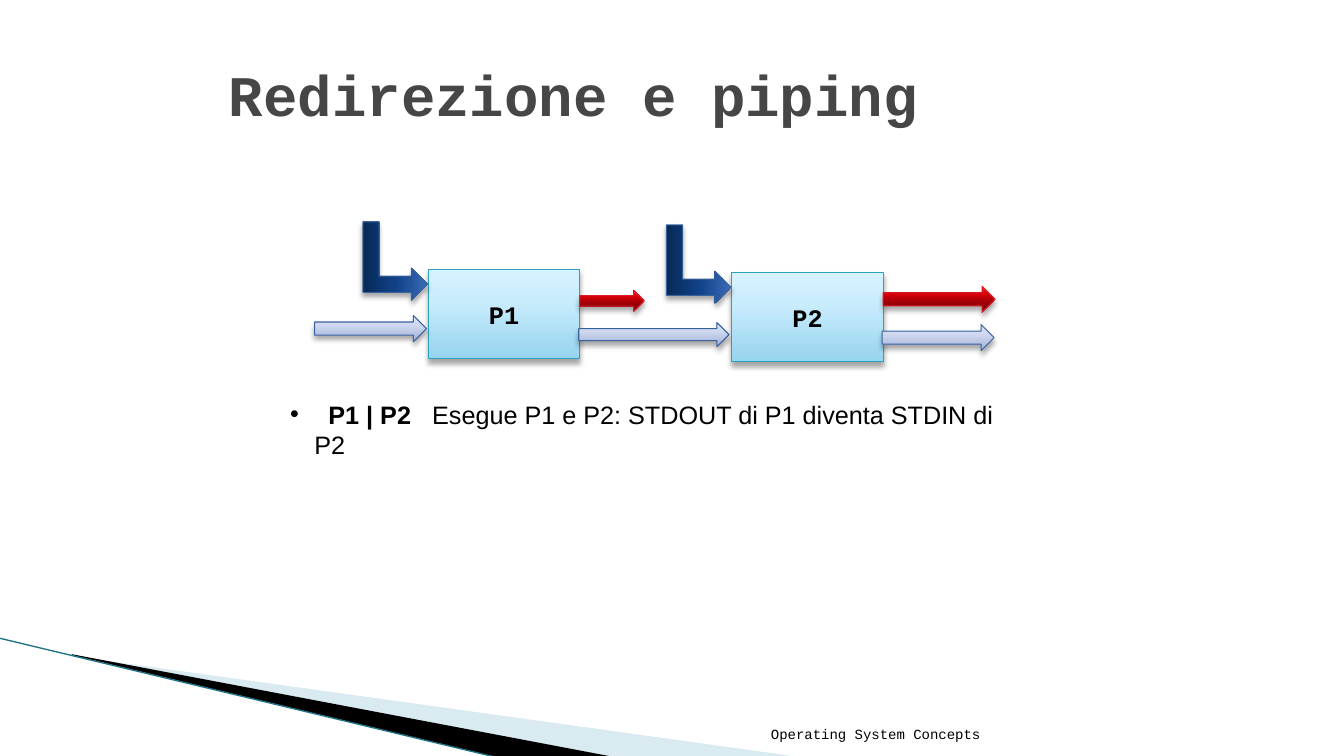
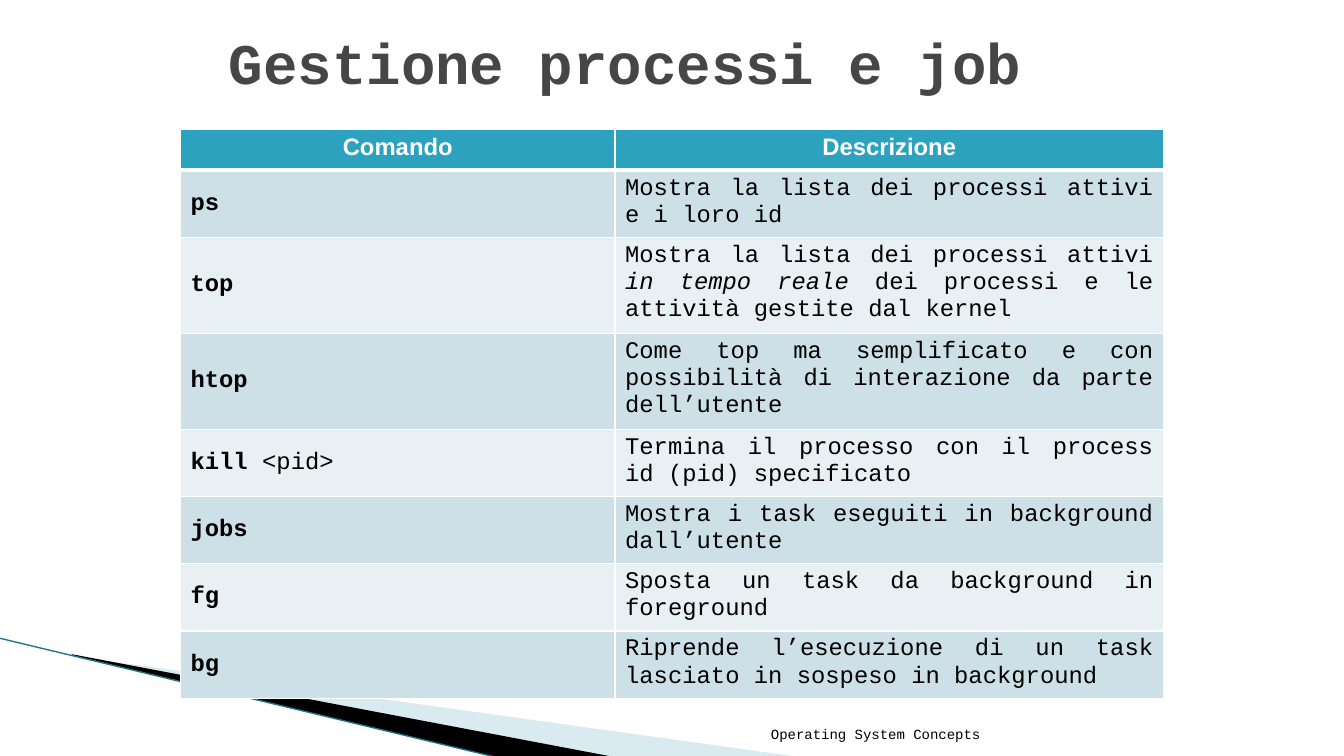
import pptx
import pptx.dml.color
import pptx.enum.shapes
import pptx.enum.text
import pptx.oxml
import pptx.oxml.ns
import pptx.util
import lxml.etree

COLUMNS, ROWS = 133.3, 75
UNIT = pptx.util.Inches(0.1)
MONO, SANS = "Courier New", "Arial"
BLACK, WHITE, TITLE_GREY = "000000", "FFFFFF", "464646"
WEDGE_BLUE, EDGE_TEAL, HEADER_TEAL = "A0CBDC", "1F7388", "2DA2BF"
ROW_FILLS = ("CDE0E8", "E8F0F4")

PROCESS = ([(0, "96D4EE"), (65, "C9ECFC"), (100, "D7F2FF")], HEADER_TEAL)
ARGUMENTS = ([(0, "072956"), (50, "104288"), (70, "205199"), (100, "3D6BB9")], "39639D")
STREAM = ([(0, "9FAFD6"), (65, "D0D9EF"), (100, "DCE3F6")], "39639D")
ERRORS = ([(0, "6D0005"), (50, "B00008"), (70, "DA0008"), (100, "FF2429")], "DA1F28")

SHAPE = pptx.enum.shapes.MSO_SHAPE
ALIGN = pptx.enum.text.PP_ALIGN
ANCHOR = pptx.enum.text.MSO_ANCHOR

COMMANDS = [
    ([("ps", "b")], [("Mostra la lista dei processi attivi e i loro id", "")], 6.4),
    ([("top", "b")],
     [("Mostra la lista dei processi attivi ", ""), ("in tempo reale", "i"),
      (" dei processi e le attività gestite dal kernel", "")], 9.1),
    ([("htop", "b")],
     [("Come top ma semplificato e con possibilità di interazione da parte dell’utente", "")], 9.1),
    ([("kill ", "b"), ("<pid>", "")],
     [("Termina il processo con il process id (pid) specificato", "")], 6.4),
    ([("jobs", "b")], [("Mostra i task eseguiti in background dall’utente", "")], 6.4),
    ([("fg", "b")], [("Sposta un task da background in foreground", "")], 6.4),
    ([("bg", "b")],
     [("Riprende l’esecuzione di un task lasciato in sospeso in background", "")], 6.4),
]


def grid(*cells):
    return [round(cell * UNIT) for cell in cells]


def rgb(value):
    return pptx.dml.color.RGBColor.from_string(value)


def child(parent, tag, **attributes):
    element = lxml.etree.SubElement(parent, pptx.oxml.ns.qn(tag))
    for name, value in attributes.items():
        element.set(name, str(value))
    return element


def style(paragraph, size, color, face=MONO, bold=None, align=ALIGN.LEFT):
    paragraph.alignment = align
    font = paragraph.font
    font.name, font.size, font.bold = face, pptx.util.Pt(size), bold
    font.color.rgb = rgb(color)


def add_runs(paragraph, pieces):
    for words, emphasis in pieces:
        run = paragraph.add_run()
        run.text = words
        run.font.bold = "b" in emphasis
        run.font.italic = "i" in emphasis


def add_wedge(slide, points, color, opacity=100):
    corners = [grid(*point) for point in points]
    builder = slide.shapes.build_freeform(*corners[0])
    builder.add_line_segments(corners[1:], close=True)
    wedge = builder.convert_to_shape()
    wedge.shadow.inherit = False
    wedge.line.fill.background()
    wedge.fill.solid()
    wedge.fill.fore_color.rgb = rgb(color)
    if opacity < 100:
        tint = wedge.element.spPr.find(".//" + pptx.oxml.ns.qn("a:srgbClr"))
        child(tint, "a:alpha", val=opacity * 1000)


def add_backdrop(slide):
    add_wedge(slide, [(7.3, 65.1), (79.3, 75.1), (60.8, 75.1), (7.3, 65)], WEDGE_BLUE, 40)
    add_wedge(slide, [(7.1, 64.9), (60.9, 75.1), (49.6, 75.2), (7.2, 65)], BLACK)
    edge = slide.shapes.add_connector(
        pptx.enum.shapes.MSO_CONNECTOR.STRAIGHT, *grid(-0.1, 63.3, 49.5, 75.2))
    edge.line.color.rgb = rgb(EDGE_TEAL)
    edge.line.width = pptx.util.Pt(0.95)
    child(edge.element.spPr, "a:effectLst")


def add_footer(slide):
    footer = slide.shapes.add_textbox(*grid(63.9, 70.1, 34.3, 4)).text_frame
    footer.word_wrap = True
    footer.vertical_anchor = ANCHOR.BOTTOM
    footer.text = "Operating System Concepts"
    style(footer.paragraphs[0], 10, BLACK, align=ALIGN.RIGHT)


def add_titled_slide(deck, heading, top, height):
    slide = deck.slides.add_slide(deck.slide_layouts[5])
    add_backdrop(slide)
    title = slide.shapes.title
    title.left, title.top, title.width, title.height = grid(21.7, top, 90, height)
    frame = title.text_frame
    frame.text = heading
    frame.auto_size = pptx.enum.text.MSO_AUTO_SIZE.NONE
    frame.vertical_anchor = ANCHOR.MIDDLE
    style(frame.paragraphs[0], 41, TITLE_GREY, bold=True)
    add_footer(slide)
    return slide


def add_glossy(slide, preset, box, look):
    stops, outline = look
    part = slide.shapes.add_shape(preset, *grid(*box))
    part.fill.gradient()
    part.fill.gradient_angle = 90
    properties = part.element.spPr
    gradient = properties.find(".//" + pptx.oxml.ns.qn("a:gsLst"))
    for stop in list(gradient):
        gradient.remove(stop)
    for position, color in stops:
        child(child(gradient, "a:gs", pos=position * 1000), "a:srgbClr", val=color)
    part.line.color.rgb = rgb(outline)
    part.line.width = pptx.util.Pt(0.75)
    part.shadow.inherit = False
    shadow = child(properties.find(pptx.oxml.ns.qn("a:effectLst")), "a:outerShdw",
                   blurRad=pptx.util.Pt(4), dist=pptx.util.Pt(3), dir=5400000, rotWithShape=0)
    child(child(shadow, "a:srgbClr", val=BLACK), "a:alpha", val=35000)
    return part


def add_process(slide, name, left, top, flows):
    process = add_glossy(slide, SHAPE.RECTANGLE, (left, top, 15, 8.9), PROCESS)
    frame = process.text_frame
    frame.text = name
    frame.vertical_anchor = ANCHOR.MIDDLE
    style(frame.paragraphs[0], 18, BLACK, bold=True, align=ALIGN.CENTER)
    arguments = add_glossy(slide, SHAPE.BENT_UP_ARROW, (left - 7.2, top - 4, 7.8, 6.4), ARGUMENTS)
    arguments.rotation = 90
    for (across, down, width, height), look in flows:
        add_glossy(slide, SHAPE.RIGHT_ARROW, (left + across, top + down, width, height), look)


def add_explanation(slide, left, top, width, height):
    frame = slide.shapes.add_textbox(*grid(left, top, width, height)).text_frame
    frame.word_wrap = True
    paragraph = frame.paragraphs[0]
    style(paragraph, 18, BLACK, face=SANS)
    add_runs(paragraph, [(" ", "b"), ("P1 | P2", "b"), (" ", ""),
                         ("Esegue P1 e P2: STDOUT di P1 diventa STDIN di P2", "")])
    for index, points in ((0, 5), (2, 10)):
        paragraph.runs[index].font.element.set("spc", str(points * 100)) if hasattr(
            paragraph.runs[index].font, "element") else paragraph.runs[index]._r.get_or_add_rPr().set(
            "spc", str(points * 100))
    properties = paragraph._p.get_or_add_pPr()
    hanging = grid(2.4)[0]
    properties.set("marL", str(hanging))
    properties.set("indent", str(-hanging))
    bullet_font = lxml.etree.Element(pptx.oxml.ns.qn("a:buFont"), typeface=SANS)
    bullet = lxml.etree.Element(pptx.oxml.ns.qn("a:buChar"), char="•")
    properties.insert(0, bullet_font)
    properties.insert(1, bullet)


def fill_cell(cell, pieces, fill, top_border=1, bottom_border=1):
    properties = cell._tc.get_or_add_tcPr()
    borders = (("a:lnL", 1), ("a:lnR", 1), ("a:lnT", top_border), ("a:lnB", bottom_border))
    for tag, points in borders:
        border = child(properties, tag, w=pptx.util.Pt(points))
        child(child(border, "a:solidFill"), "a:srgbClr", val=WHITE)
    cell.fill.solid()
    cell.fill.fore_color.rgb = rgb(fill)
    paragraph = cell.text_frame.paragraphs[0]
    add_runs(paragraph, pieces)
    return paragraph


def add_command_table(slide, left, top, widths):
    heights = [4.1] + [height for _, _, height in COMMANDS]
    table = slide.shapes.add_table(
        len(heights), 2, *grid(left, top, sum(widths), sum(heights))).table
    for column, width in zip(table.columns, grid(*widths)):
        column.width = width
    for row, height in zip(table.rows, grid(*heights)):
        row.height = height
    for column, heading in enumerate(("Comando", "Descrizione")):
        paragraph = fill_cell(table.cell(0, column), [(heading, "b")], HEADER_TEAL, bottom_border=3)
        style(paragraph, 17, WHITE, face=SANS, align=ALIGN.CENTER)
    for row, (command, description, _) in enumerate(COMMANDS, start=1):
        fill = ROW_FILLS[(row - 1) % 2]
        top_border = 3 if row == 1 else 1
        for column, (pieces, align) in enumerate(
                ((command, ALIGN.LEFT), (description, ALIGN.JUSTIFY))):
            paragraph = fill_cell(table.cell(row, column), pieces, fill, top_border)
            style(paragraph, 17, BLACK, align=align)
        table.cell(row, 0).vertical_anchor = ANCHOR.MIDDLE


def build_piping(deck):
    slide = add_titled_slide(deck, "Redirezione e piping", 3, 12.5)
    add_process(slide, "P1", 42.5, 26.7, [
        ((-11.3, 4.6, 11.1, 2.6), STREAM),
        ((14.9, 5.3, 14.9, 2.4), STREAM),
        ((15, 2.1, 6.4, 2.1), ERRORS)])
    add_process(slide, "P2", 72.6, 27, [
        ((14.9, 5.2, 11.1, 2.6), STREAM),
        ((15, 1.4, 11.1, 2.6), ERRORS)])
    add_explanation(slide, 27.8, 39.1, 74.1, 4)


def build_jobs(deck):
    slide = add_titled_slide(deck, "Gestione processi e job", 1.7, 8.9)
    add_command_table(slide, 17.9, 12.8, (43.1, 54.4))


def main():
    deck = pptx.Presentation()
    deck.slide_width, deck.slide_height = grid(COLUMNS, ROWS)
    build_piping(deck)
    build_jobs(deck)
    deck.save("out.pptx")


if __name__ == "__main__":
    main()
